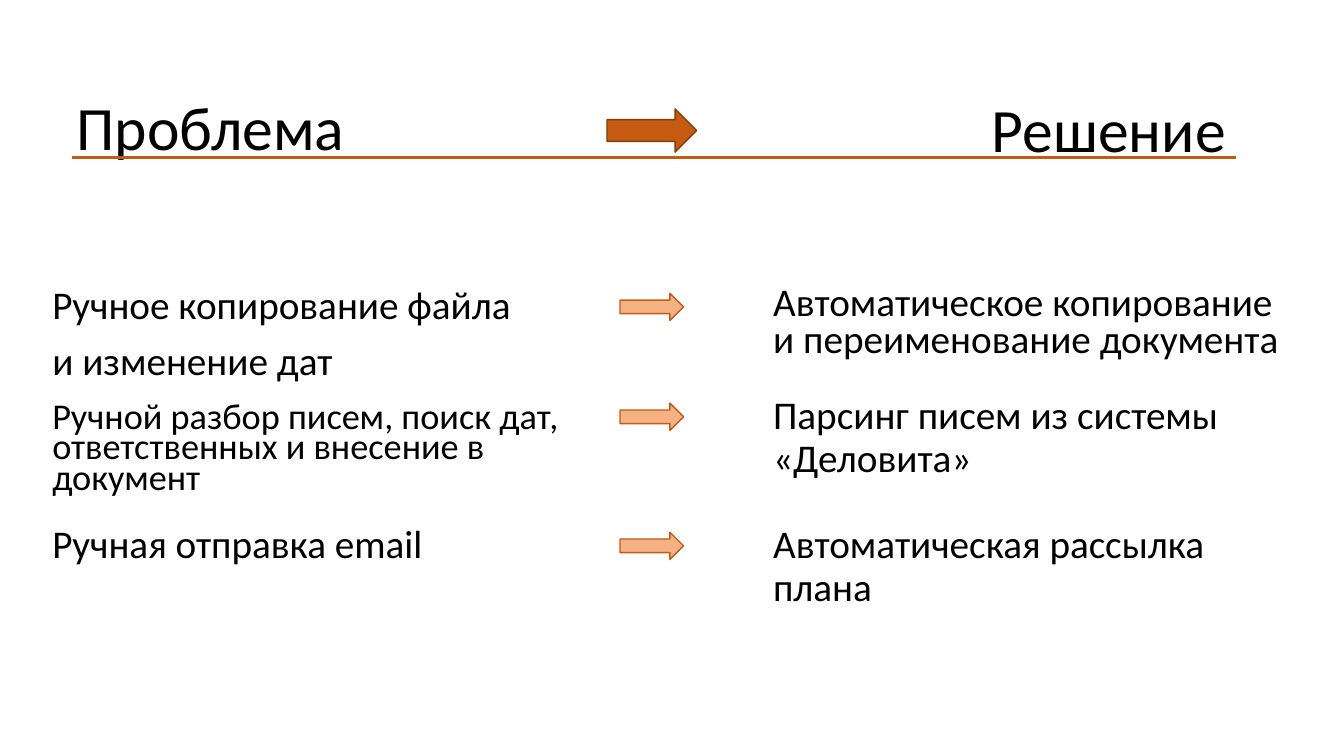
from lxml import etree
from pptx import Presentation
from pptx import util as u
from pptx.dml import color
from pptx.enum import shapes, text
from pptx.oxml import ns


def paint(target, hex_color):
    if hasattr(target, "solid"):
        target.solid()
        target = target.fore_color
    target.rgb = color.RGBColor.from_string(hex_color)


def write(box, lines, size=28, spacing=0.9, align=text.PP_ALIGN.LEFT,
          anchor=text.MSO_ANCHOR.TOP):
    frame = box.text_frame
    frame.auto_size = text.MSO_AUTO_SIZE.NONE
    frame.word_wrap = True
    frame.vertical_anchor = anchor
    for index, line in enumerate(lines):
        para = frame.add_paragraph() if index else frame.paragraphs[0]
        para.alignment = align
        para.line_spacing = spacing
        para.space_before = u.Pt(10 if index else 0)
        span = para.add_run()
        span.text = line
        span.font.name = "Calibri"
        span.font.size = u.Pt(size)
        paint(span.font.color, SlideBuilder.BLACK)


class SlideBuilder:
    """Holds the palette and the current slide and adds its elements."""

    BLACK = "000000"
    DARK = "843C0B"
    ORANGE = "C55A11"
    LIGHT = "F4B183"

    def __init__(self, deck):
        self.slide = deck.slides.add_slide(deck.slide_layouts[5])

    def title(self, left, top, width, height, line, **style):
        box = self.slide.shapes.title
        box.left, box.top = u.Inches(left), u.Inches(top)
        box.width, box.height = u.Inches(width), u.Inches(height)
        write(box, [line], **style)

    def label(self, left, top, width, height, lines, **style):
        box = self.slide.shapes.add_textbox(
            u.Inches(left), u.Inches(top), u.Inches(width), u.Inches(height))
        write(box, lines, **style)

    def arrow(self, left, top, width, height, fill, outline):
        arrow = self.slide.shapes.add_shape(
            shapes.MSO_SHAPE.RIGHT_ARROW, u.Inches(left), u.Inches(top),
            u.Inches(width), u.Inches(height))
        arrow.shadow.inherit = False
        paint(arrow.fill, fill)
        paint(arrow.line.fill, outline)
        arrow.line.width = u.Pt(1)

    def rule(self, left, right, top):
        rule = self.slide.shapes.add_connector(
            shapes.MSO_CONNECTOR.STRAIGHT, u.Inches(left), u.Inches(top),
            u.Inches(right), u.Inches(top))
        paint(rule.line.fill, self.ORANGE)
        rule.line.width = u.Pt(2.25)
        etree.SubElement(rule._element.spPr, ns.qn("a:effectLst"))


def main():
    deck = Presentation()
    deck.slide_width, deck.slide_height = u.Inches(13.33), u.Inches(7.5)
    page = SlideBuilder(deck)

    heading = {"size": 44, "anchor": text.MSO_ANCHOR.MIDDLE}
    page.title(0.66, 0.57, 2.97, 1.45, "Проблема", **heading)
    page.label(9.29, 0.59, 2.97, 1.45, ["Решение"],
               align=text.PP_ALIGN.RIGHT, **heading)
    page.arrow(6.02, 1.08, 0.89, 0.43, page.ORANGE, page.DARK)

    rows = [
        (2.91,
         (2.78, ["Ручное копирование файла", "и изменение дат"], {}),
         (2.79, ["Автоматическое копирование и переименование документа"],
          {"spacing": 0.8})),
        (4.0,
         (3.97, ["Ручной разбор писем, поиск дат, ответственных "
                 "и внесение в документ"], {"size": 25.9, "spacing": 0.7}),
         (3.88, ["Парсинг писем из системы «Деловита»"], {})),
        (5.28,
         (5.16, ["Ручная отправка email"], {}),
         (5.16, ["Автоматическая рассылка плана"], {})),
    ]
    for arrow_top, problem, solution in rows:
        for left, width, cell in ((0.42, 5.58, problem), (7.57, 5.4, solution)):
            top, lines, style = cell
            page.label(left, top, width, 1.09, lines, **style)
        page.arrow(6.15, arrow_top, 0.63, 0.27, page.LIGHT, page.ORANGE)

    page.rule(0.71, 12.26, 1.56)
    deck.save("out.pptx")


if __name__ == "__main__":
    main()
